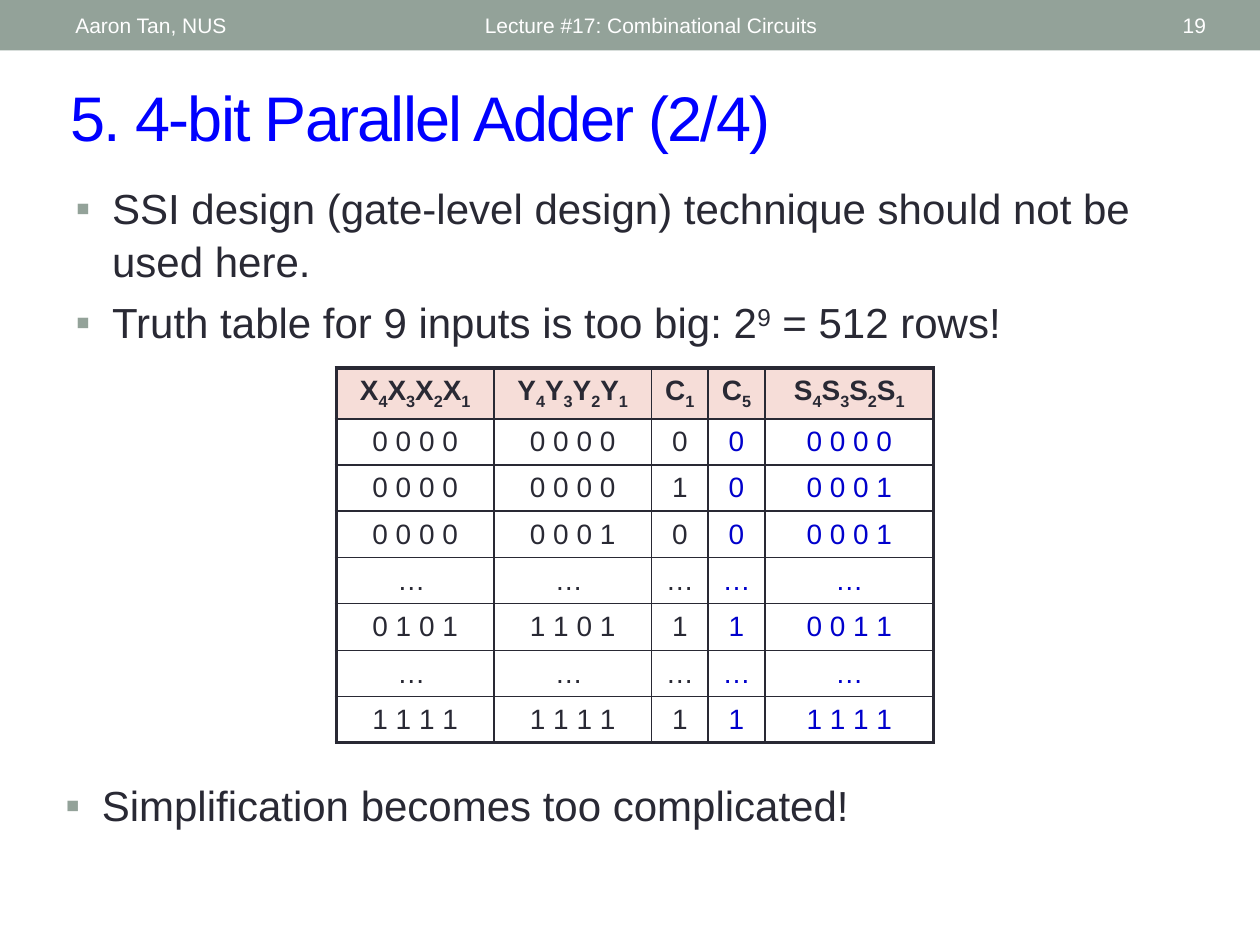
from lxml.etree import SubElement
from pptx import Presentation
from pptx.dml.color import RGBColor
from pptx.enum.shapes import MSO_SHAPE
from pptx.enum.text import MSO_ANCHOR, MSO_AUTO_SIZE, PP_ALIGN
from pptx.oxml.ns import qn
from pptx.util import Inches, Pt

COLORS = {
    "bar": "93A299",
    "white": "FFFFFF",
    "title": "0000FF",
    "text": "292934",
    "output": "0000CC",
    "header": "F6DDD8",
}
SUBSCRIPT, SUPERSCRIPT = -25, 30
COLUMN_WIDTHS = [1.25, 1.25, 0.45, 0.45, 1.34]
ROW_HEIGHTS = [0.32] * 5 + [0.37] + [0.32] * 2
HEADINGS = ["X4X3X2X1", "Y4Y3Y2Y1", "C1", "C5", "S4S3S2S1"]
ELLIPSES = ["… ", "… ", "…", "…", "…"]
TRUTH_ROWS = [
    ["0 0 0 0", "0 0 0 0", "0", "0", "0 0 0 0"],
    ["0 0 0 0", "0 0 0 0", "1", "0", "0 0 0 1"],
    ["0 0 0 0", "0 0 0 1", "0", "0", "0 0 0 1"],
    ELLIPSES,
    ["0 1 0 1", "1 1 0 1", "1", "1", "0 0 1 1"],
    ELLIPSES,
    ["1 1 1 1", "1 1 1 1", "1", "1", "1 1 1 1"],
]
FIRST_OUTPUT_COLUMN = 3


def rgb(name):
    return RGBColor.from_string(COLORS[name])


def place(shape, box):
    shape.left, shape.top, shape.width, shape.height = map(Inches, box)


def add_span(para, text, size, color, baseline=0, bold=False):
    span = para.add_run()
    span.text = text
    span.font.name = "Arial"
    span.font.size = Pt(size)
    span.font.bold = bold
    span.font.color.rgb = rgb(color)
    if baseline:
        span.font._element.set("baseline", str(baseline * 1000))
    return span


def add_label(page, box, text, align=PP_ALIGN.LEFT):
    frame = page.shapes.add_textbox(*map(Inches, box)).text_frame
    frame.word_wrap = True
    frame.vertical_anchor = MSO_ANCHOR.MIDDLE
    para = frame.paragraphs[0]
    para.alignment = align
    add_span(para, text, 12, "white")


def add_header(page, box):
    left, top, width, height = box
    bar = page.shapes.add_shape(MSO_SHAPE.RECTANGLE, *map(Inches, box))
    bar.shadow.inherit = False
    bar.fill.solid()
    bar.fill.fore_color.rgb = rgb("bar")
    bar.line.fill.background()
    label_top, label_height = top + 0.02, height - 0.04
    add_label(page, (left + 0.5, label_top, 3.17, label_height), "Aaron Tan, NUS")
    add_label(page, (left + 3.75, label_top, 4.5, label_height),
              "Lecture #17: Combinational Circuits")
    add_label(page, (left + width - 1.28, label_top, 0.95, label_height), "19",
              PP_ALIGN.RIGHT)


def fill_title(title, box, text):
    place(title, box)
    frame = title.text_frame
    frame.auto_size = MSO_AUTO_SIZE.NONE
    frame.vertical_anchor = MSO_ANCHOR.MIDDLE
    para = frame.paragraphs[0]
    para.alignment = PP_ALIGN.LEFT
    span = add_span(para, text, 36, "title")
    span.font._element.set("spc", "-100")


def fill_list(shape, box, items):
    """Each item is a list of (text, baseline) pairs."""
    place(shape, box)
    frame = shape.text_frame
    frame.word_wrap = True
    frame.auto_size = MSO_AUTO_SIZE.NONE
    frame.vertical_anchor = MSO_ANCHOR.TOP
    for index, item in enumerate(items):
        para = frame.add_paragraph() if index else frame.paragraphs[0]
        para.line_spacing = 1.05
        para.space_before = Pt(4.8)
        properties = para._p.get_or_add_pPr()
        properties.set("marL", str(Inches(0.29)))
        properties.set("indent", str(-Inches(0.29)))
        bullet_color = SubElement(properties, qn("a:buClr"))
        SubElement(bullet_color, qn("a:srgbClr"), val=COLORS["bar"])
        SubElement(properties, qn("a:buFont"), typeface="Arial")
        SubElement(properties, qn("a:buChar"), char="▪")
        for text, baseline in item:
            add_span(para, text, 24, "text", baseline)


def set_borders(cell, widths):
    properties = cell._tc.get_or_add_tcPr()
    for index, (side, width) in enumerate(widths.items()):
        line = SubElement(properties, qn(f"a:ln{side}"), w=str(Pt(width)))
        fill = SubElement(line, qn("a:solidFill"))
        SubElement(fill, qn("a:srgbClr"), val=COLORS["text"])
        properties.remove(line)
        properties.insert(index, line)


def add_truth_table(page, box):
    rows = [HEADINGS] + TRUTH_ROWS
    last_row, last_column = len(rows) - 1, len(HEADINGS) - 1
    table = page.shapes.add_table(len(rows), len(HEADINGS), *map(Inches, box)).table
    table.first_row = table.horz_banding = False
    for column, width in zip(table.columns, COLUMN_WIDTHS):
        column.width = Inches(width)
    for row, height in zip(table.rows, ROW_HEIGHTS):
        row.height = Inches(height)

    for row, values in enumerate(rows):
        for column, text in enumerate(values):
            cell = table.cell(row, column)
            cell.vertical_anchor = MSO_ANCHOR.MIDDLE
            para = cell.text_frame.paragraphs[0]
            para.alignment = PP_ALIGN.CENTER
            if row == 0:
                cell.fill.solid()
                cell.fill.fore_color.rgb = rgb("header")
                for letter in text:
                    add_span(para, letter, 16, "text",
                             SUBSCRIPT if letter.isdigit() else 0, bold=True)
            else:
                cell.fill.background()
                color = "output" if column >= FIRST_OUTPUT_COLUMN else "text"
                add_span(para, text, 16, color)
            # Thick outer frame, thin inner grid
            outer = {"L": column == 0, "R": column == last_column,
                     "T": row == 0, "B": row == last_row}
            set_borders(cell, {side: 2.25 if edge else 1 for side, edge in outer.items()})


def main():
    deck = Presentation()
    deck.slide_width, deck.slide_height = Inches(10), Inches(7.5)
    page = deck.slides.add_slide(deck.slide_layouts[1])

    # Header band and title
    add_header(page, (0, 0, 10, 0.4))
    fill_title(page.shapes.title, (0.46, 0.57, 9.21, 0.7),
               "5. 4-bit Parallel Adder (2/4)")

    # Points above the table
    fill_list(page.placeholders[1], (0.5, 1.38, 8.58, 1.43), [
        [("SSI design (gate-level design) technique should not be used here.", 0)],
        [("Truth table for 9 inputs is too big: 2", 0), ("9", SUPERSCRIPT),
         (" = 512 rows!", 0)],
    ])

    add_truth_table(page, (2.67, 2.92, 4.74, 2.61))

    # Conclusion below the table
    conclusion_box = (0.42, 6.12, 9, 0.58)
    conclusion = page.shapes.add_textbox(*map(Inches, conclusion_box))
    fill_list(conclusion, conclusion_box, [[("Simplification becomes too complicated!", 0)]])

    deck.save("out.pptx")


if __name__ == "__main__":
    main()
